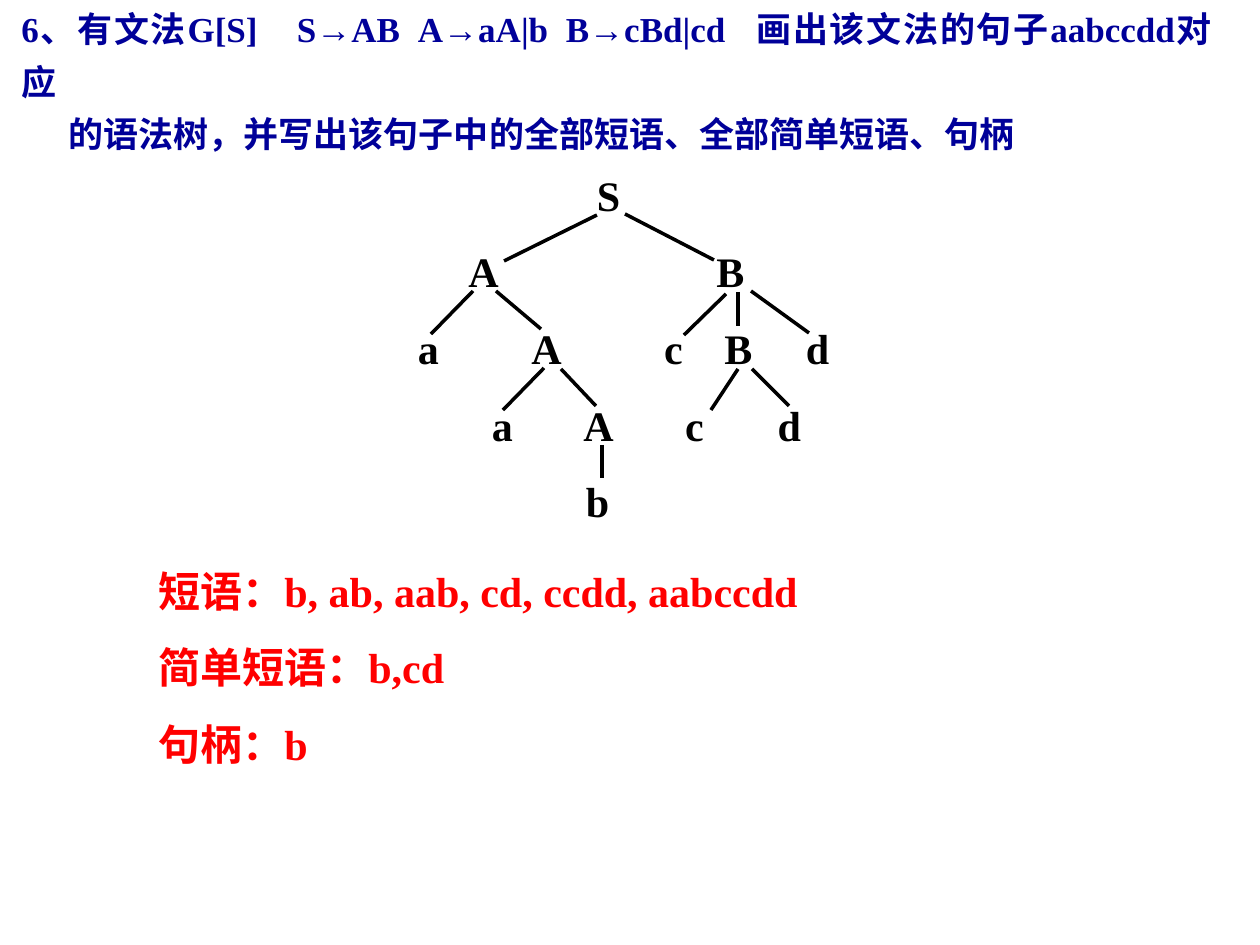
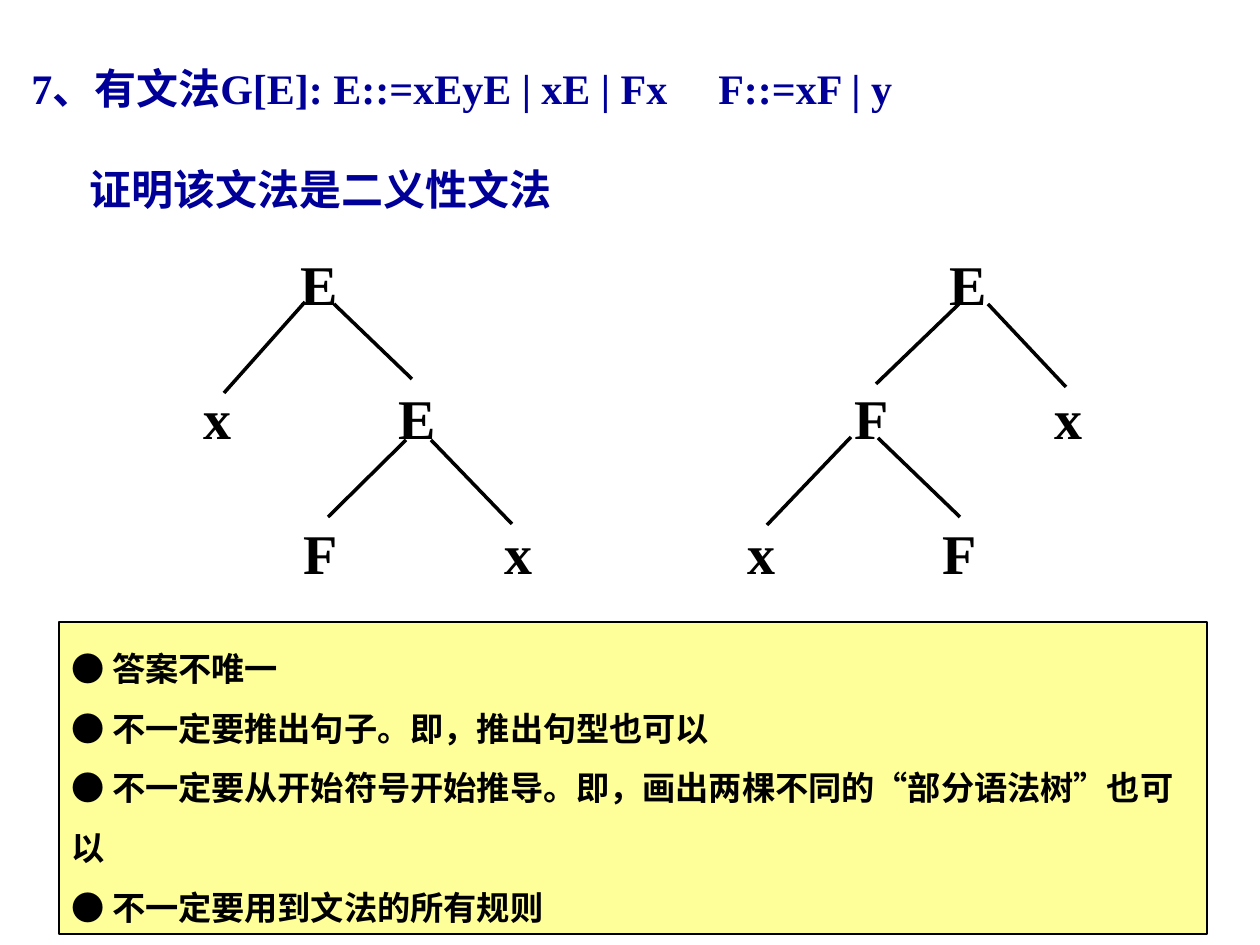
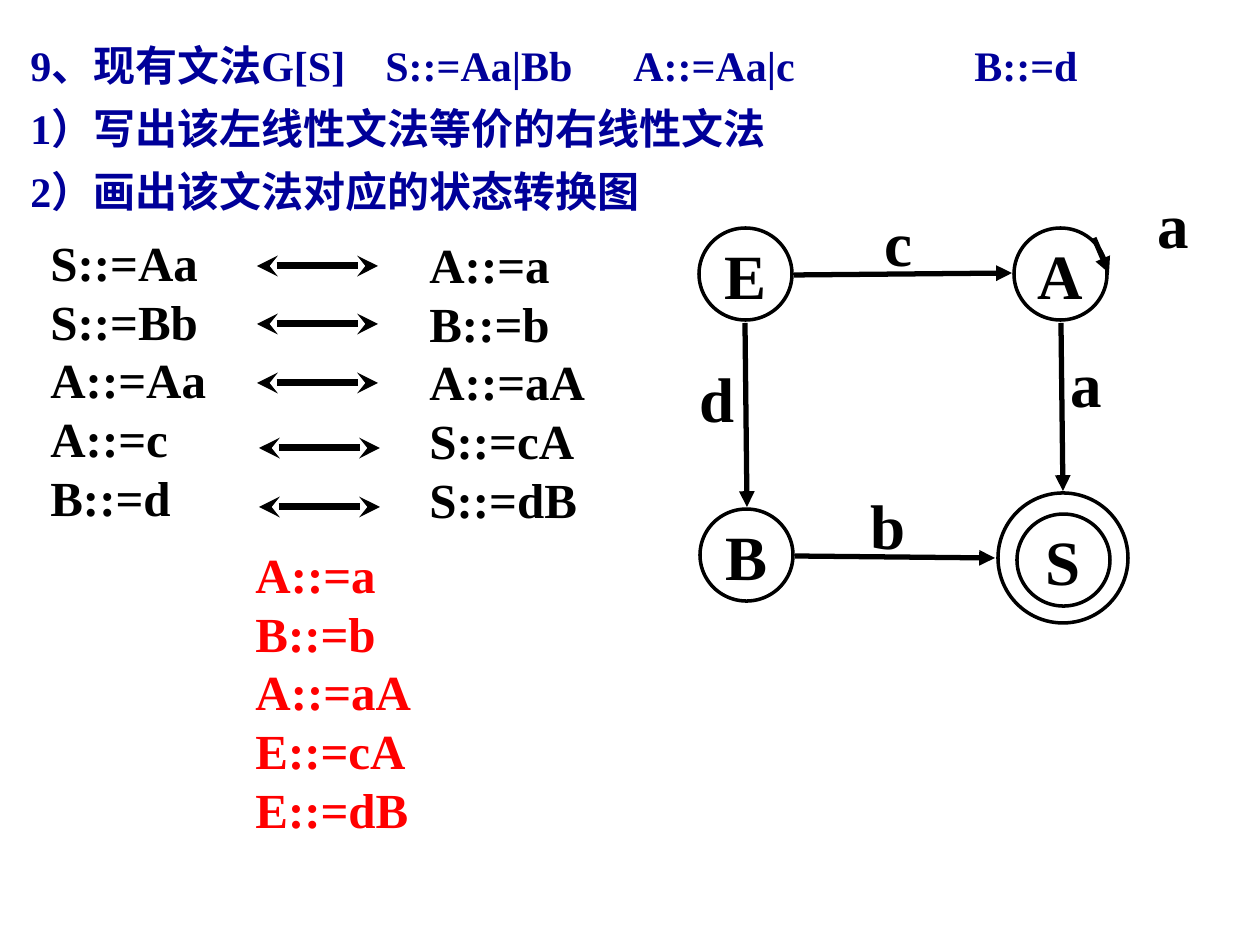
from lxml.etree import SubElement
from pptx import Presentation
from pptx.dml.color import RGBColor
from pptx.enum.lang import MSO_LANGUAGE_ID as Language
from pptx.enum.shapes import MSO_CONNECTOR as Connector, MSO_SHAPE as Shape
from pptx.enum.text import MSO_ANCHOR as Anchor, MSO_AUTO_SIZE as AutoSize, PP_ALIGN as Align
from pptx.oxml.ns import qn
from pptx.util import Emu, Pt

PX = 914400 / 126
INSET = 13
COLORS = {"title": "000099", "ink": "000000", "answer": "FF0000", "note": "FFFF99"}
FONT = {"name": "Times New Roman", "bold": True, "language_id": Language.SIMPLIFIED_CHINESE}
GROW = {"word_wrap": True, "auto_size": AutoSize.SHAPE_TO_FIT_TEXT}
TITLE_FRAME = {**GROW, "vertical_anchor": Anchor.MIDDLE}
NODE_FRAME = {"word_wrap": False, "vertical_anchor": Anchor.MIDDLE}
LEFT = {"alignment": Align.LEFT}
JUSTIFIED = {"alignment": Align.JUSTIFY}
CENTERED = {"alignment": Align.CENTER}


def px(value):
    return Emu(round(value * PX))


def apply(target, values):
    for name, value in values.items():
        setattr(target, name, value)


def color(name):
    return RGBColor.from_string(COLORS[name])


def add_tabs(para, stops, align):
    tabs = SubElement(para._p.get_or_add_pPr(), qn("a:tabLst"))
    for stop in stops:
        SubElement(tabs, qn("a:tab"), pos=str(px(stop)), algn=align)


def write(box, lines, size, ink="ink", para_format=LEFT, frame_format=GROW):
    frame = box.text_frame
    apply(frame, frame_format)
    for index, line in enumerate(lines):
        para = frame.add_paragraph() if index else frame.paragraphs[0]
        apply(para, para_format)
        span = para.add_run()
        span.text = line
        apply(span.font, {**FONT, "size": Pt(size)})
        span.font.color.rgb = color(ink)
    return frame.paragraphs


def add_text(page, area, lines, size, **options):
    box = page.shapes.add_textbox(*map(px, area))
    return write(box, lines, size, **options)


def add_title(page, area, lines, size, spacing, stops, indent=0):
    paras = add_text(page, area, lines, size, ink="title", frame_format=TITLE_FRAME,
                     para_format={**JUSTIFIED, "line_spacing": spacing})
    start = area[0] + INSET
    add_tabs(paras[0], [stop - start for stop in stops], "l")
    if indent:
        paras[1]._p.get_or_add_pPr().set("marL", str(px(indent - start)))


def add_line(page, ends, width=2, head=None, tail=None):
    line = page.shapes.add_connector(Connector.STRAIGHT, *map(px, ends))
    line.line.width = Pt(width)
    line.line.color.rgb = color("ink")
    for tag, kind in (("a:headEnd", head), ("a:tailEnd", tail)):
        if kind:
            SubElement(line.line._get_or_add_ln(), qn(tag), type=kind)
    SubElement(line._element.spPr, qn("a:effectLst"))


def add_tree(page, area, levels, size, para_format, branches):
    lines = ["".join(f"\t{symbol}" for symbol, _ in level) for level in levels]
    paras = add_text(page, area, lines, size, para_format={**LEFT, **para_format})
    for para, level in zip(paras, levels):
        add_tabs(para, [center - area[0] - INSET for _, center in level], "ctr")
    for branch in branches:
        add_line(page, branch)


def add_outline(page, kind, area, width, fill=None):
    shape = page.shapes.add_shape(kind, *map(px, area))
    shape.shadow.inherit = False
    if fill:
        shape.fill.solid()
        shape.fill.fore_color.rgb = color(fill)
    else:
        shape.fill.background()
    shape.line.color.rgb = color("ink")
    shape.line.width = Pt(width)
    return shape


def add_state(page, name, left, top):
    circle = add_outline(page, Shape.OVAL, (left, top, 93, 92), 2)
    write(circle, [name], 36, para_format=CENTERED, frame_format=NODE_FRAME)


def build_phrases(page):
    spaced = {"space_before": Pt(15)}
    add_title(page, (9, -9, 1215, 170), [
        "6、有文法G[S]\tS→AB\tA→aA|b\tB→cBd|cd\t画出该文法的句子aabccdd对应",
        "的语法树，并写出该句子中的全部短语、全部简单短语、句柄",
    ], 20, 1.25, (289, 410, 558, 747), 69)
    add_tree(page, (333, 163, 601, 370), [
        [("S", 609)],
        [("A", 484), ("B", 731)],
        [("a", 429), ("A", 547), ("c", 674), ("B", 739), ("d", 818)],
        [("a", 503), ("A", 599), ("c", 695), ("d", 790)],
        [("b", 598)],
    ], 24, spaced, [
        (597, 215, 504, 261), (625, 214, 714, 260),
        (473, 291, 431, 334), (496, 291, 541, 329),
        (726, 294, 684, 335), (738, 292, 738, 326), (751, 291, 809, 333),
        (544, 368, 503, 410), (561, 369, 596, 406),
        (738, 369, 711, 410), (752, 369, 789, 406),
        (602, 445, 602, 478),
    ])
    add_text(page, (146, 559, 897, 217), [
        "短语：b, ab, aab, cd, ccdd, aabccdd",
        "简单短语：b,cd",
        "句柄：b",
    ], 24, ink="answer", para_format={**LEFT, **spaced})


def build_ambiguity(page):
    double = {"line_spacing": 2.0}
    add_title(page, (19, 6, 1220, 214), [
        "7、有文法G[E]: E::=xEyE | xE | Fx\tF::=xF | y",
        "证明该文法是二义性文法",
    ], 24, 2.0, (719,), 90)
    add_tree(page, (82, 176, 480, 416), [
        [("E", 320)],
        [("x", 218), ("E", 418)],
        [("F", 321), ("x", 519)],
    ], 32, double, [
        (334, 304, 412, 379), (305, 302, 224, 393),
        (406, 440, 328, 517), (431, 440, 512, 524),
    ])
    add_tree(page, (734, 176, 469, 416), [
        [("E", 969)],
        [("F", 872), ("x", 1069)],
        [("x", 762), ("F", 960)],
    ], 32, double, [
        (988, 304, 1066, 387), (959, 304, 876, 384),
        (851, 437, 767, 525), (878, 438, 960, 517),
    ])
    note = add_outline(page, Shape.RECTANGLE, (59, 622, 1148, 312), 1.5, "note")
    write(note, [
        "● 答案不唯一",
        "● 不一定要推出句子。即，推出句型也可以",
        "● 不一定要从开始符号开始推导。即，画出两棵不同的“部分语法树”也可以",
        "● 不一定要用到文法的所有规则",
    ], 19, para_format={**LEFT, "line_spacing": 1.5},
        frame_format={**GROW, "vertical_anchor": Anchor.TOP})


def build_automaton(page):
    add_title(page, (18, 20, 1081, 202), [
        "9、现有文法G[S]\tS::=Aa|Bb\tA::=Aa|c\tB::=d",
        "1）写出该左线性文法等价的右线性文法",
        "2）画出该文法对应的状态转换图",
    ], 24, 1.25, (386, 634, 975))

    rule_lists = [
        (38, 226, "ink", ["S::=Aa", "S::=Bb", "A::=Aa", "A::=c", "B::=d"]),
        (417, 228, "ink", ["A::=a", "B::=b", "A::=aA", "S::=cA", "S::=dB"]),
        (243, 538, "answer", ["A::=a", "B::=b", "A::=aA", "E::=cA", "E::=dB"]),
    ]
    for left, top, ink, rules in rule_lists:
        add_text(page, (left, top, 221, 307), rules, 28, ink=ink, para_format=JUSTIFIED)
    for left, y in ((257, 266), (257, 324), (257, 383), (259, 448), (259, 507)):
        add_line(page, (left, y, left + 121, y), 4, "stealth", "stealth")

    for name, left, top in (("E", 699, 228), ("S", 1017, 514), ("A", 1014, 228), ("B", 700, 509)):
        add_state(page, name, left, top)
    add_outline(page, Shape.OVAL, (998, 493, 130, 130), 2)
    for ends in ((794, 275, 1012, 273), (1061, 323, 1063, 491), (745, 323, 747, 507),
                 (795, 556, 995, 558), (1094, 238, 1109, 273)):
        add_line(page, ends, 3, tail="triangle")
    for label, left, top in (("a", 1145, 179), ("a", 1058, 338), ("c", 872, 197),
                             ("d", 687, 353), ("b", 858, 480)):
        add_text(page, (left, top, 71, 88), [label], 36,
                 para_format={**LEFT, "space_before": Pt(22.5)})


def main():
    deck = Presentation()
    apply(deck, {"slide_width": px(1260), "slide_height": px(945)})
    for build in (build_phrases, build_ambiguity, build_automaton):
        build(deck.slides.add_slide(deck.slide_layouts[6]))
    deck.save("out.pptx")


if __name__ == "__main__":
    main()
